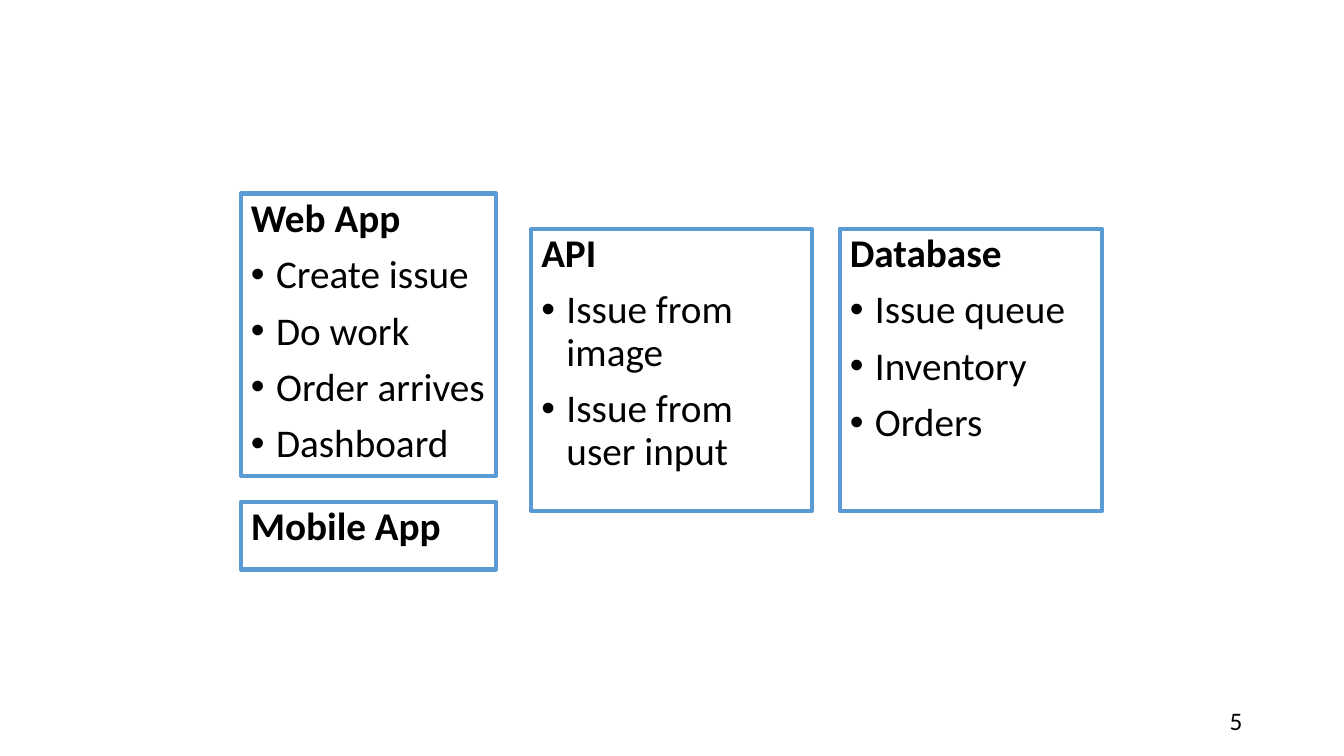
from lxml.etree import SubElement
from pptx import Presentation
from pptx.dml.color import RGBColor as RGB
from pptx.enum.shapes import MSO_SHAPE as Shape
from pptx.enum.text import MSO_ANCHOR as Anchor, PP_ALIGN as Align
from pptx.oxml.ns import qn
from pptx.util import Inches, Pt

COLORS = {"text": "000000", "fill": "FFFFFF", "line": "5B9BD5"}
FONT = "Calibri"
INDENT = Inches(0.25)

LEFT, TOP, HIGH = 2.39, 1.92, 2.8
DROP = 0.35
PARTS = [
    ((LEFT, TOP, 2.53, HIGH), "Web App",
     ["Create issue", "Do work", "Order arrives", "Dashboard"]),
    ((5.27, TOP + DROP, 2.78, HIGH), "API",
     ["Issue from image", "Issue from user input"]),
    ((8.33, TOP + DROP, 2.6, HIGH), "Database",
     ["Issue queue", "Inventory", "Orders"]),
    ((LEFT, 4.98, 2.53, 0.67), "Mobile App", []),
]


def color(name):
    return RGB.from_string(COLORS[name])


def style(para, size, bold=False):
    for run in para.runs:
        font = run.font
        font.name, font.size, font.bold = FONT, Pt(size), bold
        font.color.rgb = color("text")


def bullet(para):
    props = para._p.get_or_add_pPr()
    props.set("marL", str(INDENT))
    props.set("indent", str(-INDENT))
    SubElement(props, qn("a:buFont")).set("typeface", "Arial")
    SubElement(props, qn("a:buChar")).set("char", "•")


def add_part(slide, box, title, items):
    card = slide.shapes.add_shape(Shape.RECTANGLE, *map(Inches, box))
    card.shadow.inherit = False
    card.fill.solid()
    card.fill.fore_color.rgb = color("fill")
    card.line.color.rgb = color("line")
    card.line.width = Pt(3)
    frame = card.text_frame
    frame.word_wrap = True
    frame.vertical_anchor = Anchor.TOP
    frame.text = "\n".join([title, *items])
    for i, para in enumerate(frame.paragraphs):
        para.alignment = Align.LEFT
        para.line_spacing = 0.9
        para.space_before = Pt(10)
        style(para, 28, bold=i == 0)
        if i:
            bullet(para)


def add_number(slide, box, number):
    frame = slide.shapes.add_textbox(*map(Inches, box)).text_frame
    frame.word_wrap = True
    frame.vertical_anchor = Anchor.MIDDLE
    frame.text = str(number)
    para = frame.paragraphs[0]
    para.alignment = Align.RIGHT
    style(para, 18)


def main():
    deck = Presentation()
    deck.slide_width, deck.slide_height = Inches(13.33), Inches(7.5)
    slide = deck.slides.add_slide(deck.slide_layouts[6])
    add_number(slide, (9.42, 6.95, 3, 0.4), 5)
    for box, title, items in PARTS:
        add_part(slide, box, title, items)
    deck.save("out.pptx")


if __name__ == "__main__":
    main()
